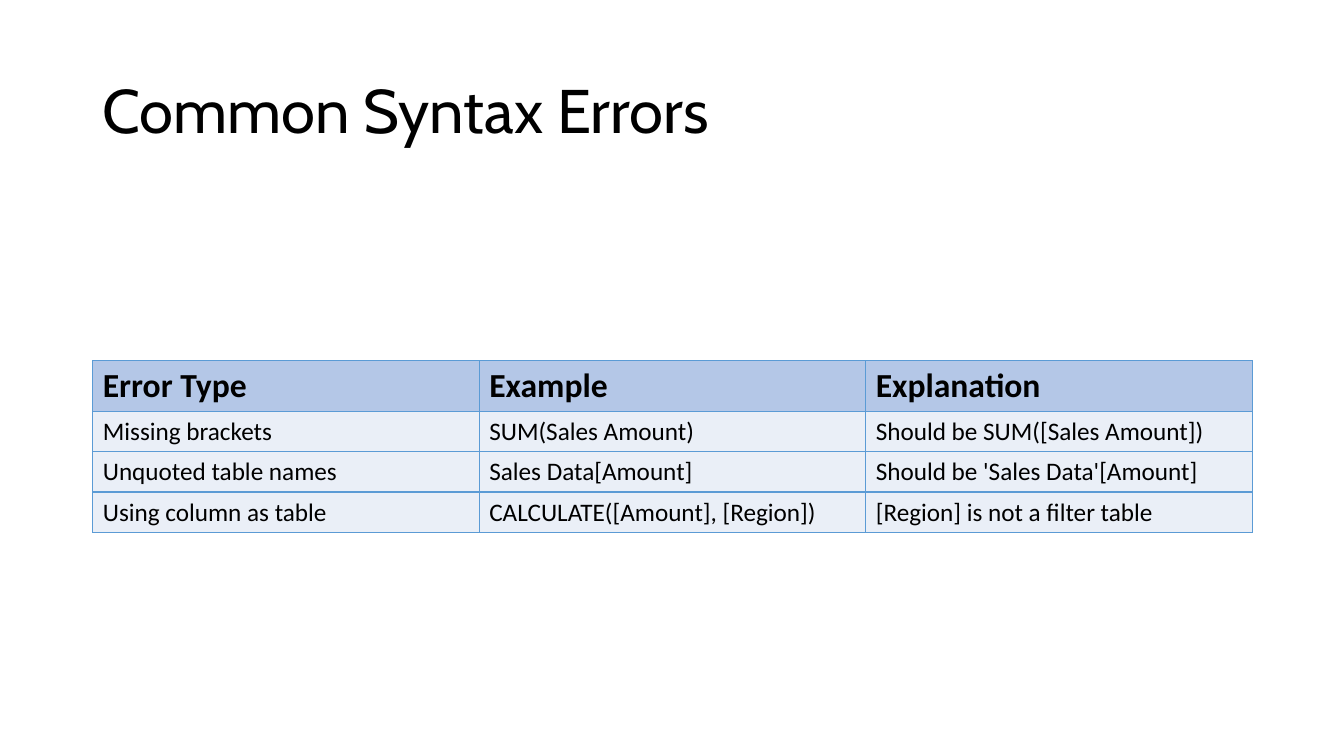
from dataclasses import dataclass

import pptx
import pptx.dml.color
import pptx.enum.text
import pptx.oxml
import pptx.oxml.ns
import pptx.util
from pptx.util import Inches


@dataclass(frozen=True)
class Theme:
    text: str = "000000"
    header_fill: str = "B4C7E7"
    body_fill: str = "EAEFF7"
    border: str = "5B9BD5"
    border_pt: float = 1
    title_font: str = "Cabin"
    table_font: str = "Calibri"
    title_size: int = 44
    header_size: int = 24
    body_size: int = 18


THEME = Theme()
LEFT, WIDTH = 0.92, 11.5
HEADER_HEIGHT, ROW_HEIGHT = 0.5, 0.4
ERRORS = [
    ("Error Type", "Example", "Explanation"),
    ("Missing brackets", "SUM(Sales Amount)", "Should be SUM([Sales Amount])"),
    ("Unquoted table names", "Sales Data[Amount]", "Should be 'Sales Data'[Amount]"),
    ("Using column as table", "CALCULATE([Amount], [Region])", "[Region] is not a filter table"),
]


def rgb(value):
    return pptx.dml.color.RGBColor.from_string(value)


def write(tf, text, name, size, bold=False):
    p = tf.paragraphs[0]
    p.text = text
    p.font.name = name
    p.font.size = pptx.util.Pt(size)
    p.font.bold = bold
    p.font.color.rgb = rgb(THEME.text)
    return p


def add_title(s, text):
    tf = s.shapes.add_textbox(Inches(LEFT), Inches(0.4), Inches(WIDTH), Inches(1.45)).text_frame
    tf.word_wrap = True
    tf.vertical_anchor = pptx.enum.text.MSO_ANCHOR.MIDDLE
    write(tf, text, THEME.title_font, THEME.title_size).line_spacing = 0.9


def set_borders(cell):
    """Line all four sides; the lines must come before the fill in tcPr."""
    tcPr = cell._tc.get_or_add_tcPr()
    for i, side in enumerate(("lnL", "lnR", "lnT", "lnB")):
        tcPr.insert(i, pptx.oxml.parse_xml(
            f'<a:{side} {pptx.oxml.ns.nsdecls("a")} w="{pptx.util.Pt(THEME.border_pt)}">'
            f'<a:solidFill><a:srgbClr val="{THEME.border}"/></a:solidFill></a:{side}>'))


def add_error_table(s, rows):
    height = HEADER_HEIGHT + ROW_HEIGHT * (len(rows) - 1)
    table = s.shapes.add_table(len(rows), len(rows[0]), Inches(LEFT), Inches(3.58),
                               Inches(WIDTH), Inches(height)).table
    for i, texts in enumerate(rows):
        header = i == 0
        table.rows[i].height = Inches(HEADER_HEIGHT if header else ROW_HEIGHT)
        for j, text in enumerate(texts):
            cell = table.cell(i, j)
            cell.vertical_anchor = pptx.enum.text.MSO_ANCHOR.MIDDLE
            cell.fill.solid()
            cell.fill.fore_color.rgb = rgb(THEME.header_fill if header else THEME.body_fill)
            set_borders(cell)
            write(cell.text_frame, text, THEME.table_font,
                  THEME.header_size if header else THEME.body_size, header)


def main():
    prs = pptx.Presentation()
    prs.slide_width, prs.slide_height = Inches(13.33), Inches(7.5)
    s = prs.slides.add_slide(prs.slide_layouts[6])
    add_title(s, "Common Syntax Errors")
    add_error_table(s, ERRORS)
    prs.save("out.pptx")


if __name__ == "__main__":
    main()
